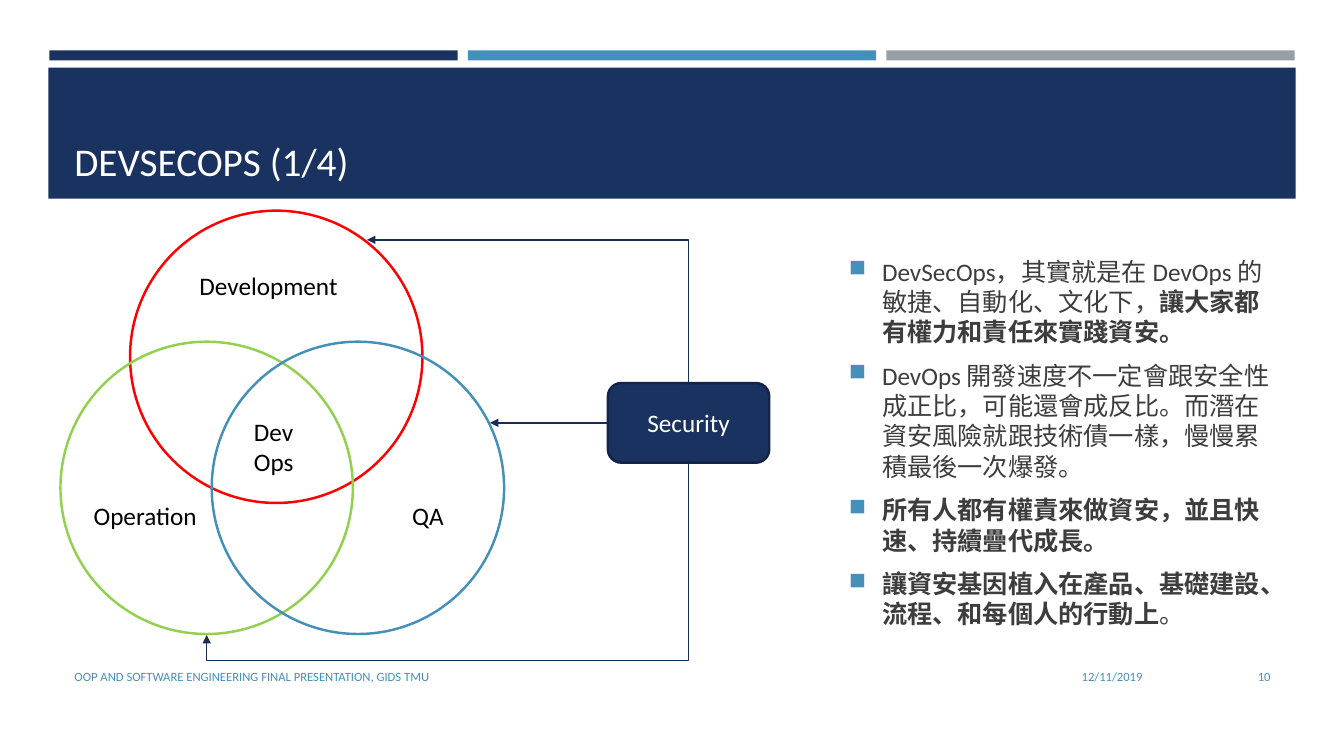
from dataclasses import dataclass

from lxml import etree
from pptx import Presentation
from pptx.dml.color import RGBColor
from pptx.enum import shapes, text
from pptx.oxml import ns
from pptx.util import Inches, Pt


@dataclass(frozen=True)
class Theme:
    """Colours, font and type sizes of the slide."""
    navy: str = "1A3260"
    navy_edge: str = "132547"
    arrow: str = "172D56"
    blue: str = "4590B8"
    grey: str = "969FA7"
    red: str = "FF0000"
    green: str = "92D050"
    ink: str = "3D3D3D"
    black: str = "000000"
    white: str = "FFFFFF"
    font: str = "Calibri"
    title: float = 28
    body: float = 18
    footer: float = 9
    outline: float = 1.75


THEME = Theme()
LEFT, MIDDLE, RIGHT = text.PP_ALIGN.LEFT, text.PP_ALIGN.CENTER, text.PP_ALIGN.RIGHT
TOP, CENTRE, BOTTOM = text.MSO_ANCHOR.TOP, text.MSO_ANCHOR.MIDDLE, text.MSO_ANCHOR.BOTTOM
POINTS = [
    [("DevSecOps，其實就是在 DevOps 的敏捷、自動化、文化下，", False),
     ("讓大家都有權力和責任來實踐資安。", True)],
    [("DevOps 開發速度不一定會跟安全性成正比，可能還會成反比。而潛在資安風險就跟技術債一樣，慢慢累積最後一次爆發。", False)],
    [("所有人都有權責來做資安，並且快速、持續疊代成長。", True)],
    [("讓資安基因植入在產品、基礎建設、流程、和每個人的行動上", True), ("。", False)],
]


def rgb(colour):
    """Turn a hex string into a colour."""
    return RGBColor.from_string(colour)


def add_xml(parent, tag, **attributes):
    """Append a DrawingML element."""
    return etree.SubElement(parent, ns.qn(f"a:{tag}"), attributes)


def style(paragraph, size, colour, align=LEFT):
    """Set the font and alignment of a paragraph."""
    paragraph.alignment = align
    paragraph.font.name = THEME.font
    paragraph.font.size = Pt(size)
    paragraph.font.color.rgb = rgb(colour)


def add_text(slide, box, words, size, colour, align=LEFT, anchor=CENTRE):
    """Place a wrapped line of text in a box."""
    frame = slide.shapes.add_textbox(*map(Inches, box)).text_frame
    frame.word_wrap = True
    frame.vertical_anchor = anchor
    frame.text = words
    style(frame.paragraphs[0], size, colour, align)


def add_block(slide, kind, box, fill=None, edge=None):
    """Place a preset shape with an optional fill and outline."""
    block = slide.shapes.add_shape(kind, *map(Inches, box))
    block.shadow.inherit = False
    if fill:
        block.fill.solid()
        block.fill.fore_color.rgb = rgb(fill)
    else:
        block.fill.background()
    if edge:
        block.line.color.rgb = rgb(edge)
        block.line.width = Pt(THEME.outline)
    else:
        block.line.fill.background()
    return block


def add_arrow(slide, start, end, kind=shapes.MSO_CONNECTOR.STRAIGHT):
    """Draw a thin connector with an arrowhead at its end."""
    arrow = slide.shapes.add_connector(kind, *map(Inches, start + end))
    arrow.line.color.rgb = rgb(THEME.arrow)
    arrow.line.width = Pt(1)
    add_xml(arrow.line._get_or_add_ln(), "tailEnd", type="triangle")
    add_xml(arrow.element.spPr, "effectLst")
    return arrow


def add_elbow(slide, start, end, overshoot=None):
    """Draw an arrow that leaves vertically, then turns left."""
    (x1, y1), (x2, y2) = start, end
    centre_x, centre_y = (x1 + x2) / 2, (y1 + y2) / 2
    half_run, half_rise = (x1 - x2) / 2, (y2 - y1) / 2
    reach = abs(half_rise)
    arrow = add_arrow(slide, (centre_x - reach, centre_y - half_run * (1 if half_rise > 0 else -1)),
                      (centre_x + reach, centre_y + half_run * (1 if half_rise > 0 else -1)),
                      shapes.MSO_CONNECTOR.ELBOW)
    properties = arrow.element.spPr
    properties.find(ns.qn("a:xfrm")).set("rot", str((90 if half_rise > 0 else 270) * 60000))
    geometry = properties.find(ns.qn("a:prstGeom"))
    if overshoot is None:
        geometry.set("prst", "bentConnector2")
    else:
        add_xml(geometry.find(ns.qn("a:avLst")), "gd", name="adj1",
                fmla=f"val {round((1 + overshoot / (2 * reach)) * 100000)}")


def build_header(slide, box):
    """Draw the three strips and the title band."""
    left, top, width, height = box
    strip, gap = 4.05, 0.1
    for column, colour in enumerate((THEME.navy, THEME.blue, THEME.grey)):
        add_block(slide, shapes.MSO_SHAPE.RECTANGLE,
                  (left + 0.01 + column * (strip + gap), top, strip, 0.1), colour)
    add_block(slide, shapes.MSO_SHAPE.RECTANGLE,
              (left, top + 0.17, width, height - 0.17), THEME.navy)
    add_text(slide, (left + 0.16, top + 0.27, width - 0.31, 1.11), "DEVSECOPS (1/4)",
             THEME.title, THEME.white, anchor=BOTTOM)


def build_venn(slide, box):
    """Draw the three overlapping circles and their labels."""
    left, top, diameter = box
    circles = ((0.69, 0, THEME.red), (0, 1.3, THEME.green), (1.5, 1.3, THEME.blue))
    for x, y, colour in circles:
        add_block(slide, shapes.MSO_SHAPE.OVAL,
                  (left + x, top + y, diameter, diameter), edge=colour)
    labels = (("Development", 1.28, 0.54, 1.72, 0.4), ("Operation", 0.23, 2.82, 1.72, 0.4),
              ("QA", 3.39, 2.82, 0.64, 0.4), ("DevOps", 1.82, 1.99, 0.64, 0.71))
    for words, x, y, width, height in labels:
        add_text(slide, (left + x, top + y, width, height), words,
                 THEME.body, THEME.black, anchor=TOP)


def build_security(slide, box):
    """Draw the security box and its arrows to the circles."""
    left, top, width, height = box
    security = add_block(slide, shapes.MSO_SHAPE.ROUNDED_RECTANGLE, box,
                         THEME.navy, THEME.navy_edge)
    security.text_frame.text = "Security"
    security.text_frame.vertical_anchor = CENTRE
    style(security.text_frame.paragraphs[0], THEME.body, THEME.white, MIDDLE)
    centre_x, centre_y = left + width / 2, top + height / 2
    add_elbow(slide, (centre_x, top), (left - 2.39, top - 1.42))
    add_elbow(slide, (centre_x, top + height), (left - 3.98, top + 2.5), overshoot=0.25)
    add_arrow(slide, (left, centre_y), (left - 1.17, centre_y))


def build_points(slide, box):
    """Write the bulleted text."""
    frame = slide.shapes.add_textbox(*map(Inches, box)).text_frame
    frame.word_wrap = True
    frame.vertical_anchor = CENTRE
    for index, pieces in enumerate(POINTS):
        paragraph = frame.add_paragraph() if index else frame.paragraphs[0]
        style(paragraph, THEME.body, THEME.ink)
        paragraph.space_before = Pt(3.6)
        paragraph.space_after = Pt(6)
        for words, bold in pieces:
            run = paragraph.add_run()
            run.text = words
            run.font.bold = bold
        properties = paragraph._p.get_or_add_pPr()
        properties.set("marL", str(Inches(0.33)))
        properties.set("indent", str(Inches(-0.33)))
        bullet = [add_xml(properties, "buClr"), add_xml(properties, "buSzPct", val="92000"),
                  add_xml(properties, "buChar", char="■")]
        add_xml(bullet[0], "srgbClr", val=THEME.blue)
        defaults = properties.find(ns.qn("a:defRPr"))
        properties.remove(defaults)
        properties.append(defaults)


def build_footer(slide, box):
    """Write the event, the date and the page number."""
    left, top, height = box
    entries = (("OOP AND SOFTWARE ENGINEERING FINAL PRESENTATION, GIDS TMU", 0, 7.56, LEFT),
               ("12/11/2019", 7.68, 3.11, RIGHT), ("10", 10.91, 1.15, RIGHT))
    for words, x, width, align in entries:
        add_text(slide, (left + x, top, width, height), words, THEME.footer, THEME.blue, align)


def main():
    """Build and save the slide."""
    deck = Presentation()
    deck.slide_width, deck.slide_height = Inches(13.33), Inches(7.5)
    slide = deck.slides.add_slide(deck.slide_layouts[6])
    build_header(slide, (0.48, 0.5, 12.37, 1.47))
    build_points(slide, (8.32, 2.38, 4.38, 4.02))
    build_footer(slide, (0.64, 6.51, 0.4))
    build_venn(slide, (0.6, 2.09, 2.9))
    build_security(slide, (6.03, 3.8, 1.6, 0.79))
    deck.save("out.pptx")


if __name__ == "__main__":
    main()
